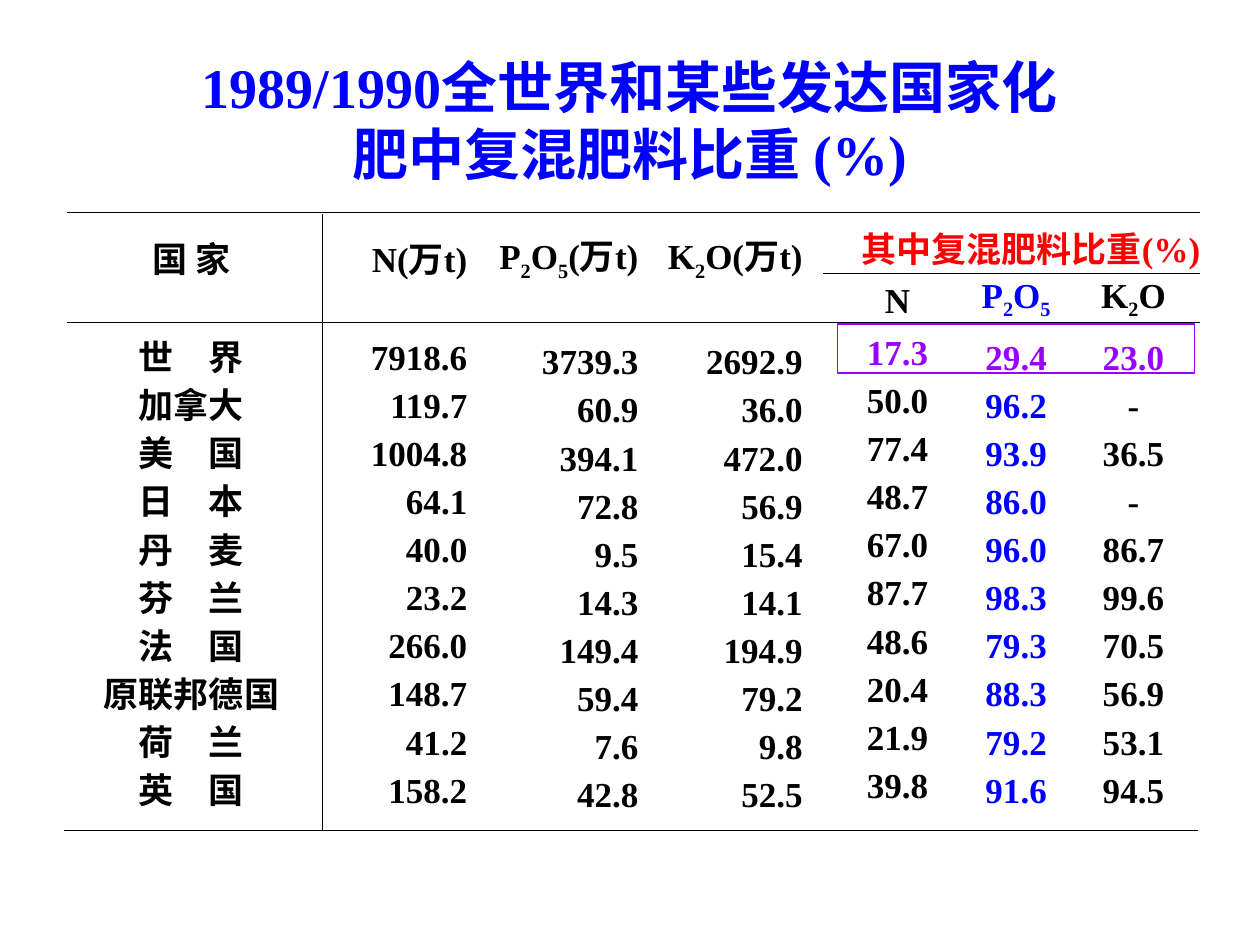
from itertools import pairwise

from pptx import Presentation
from pptx.dml.color import RGBColor
from pptx.enum.shapes import MSO_CONNECTOR, MSO_SHAPE
from pptx.enum.text import MSO_ANCHOR, MSO_AUTO_SIZE, PP_ALIGN
from pptx.oxml.ns import qn
from pptx.util import Cm, Pt
from lxml import etree

BLACK, BLUE, RED, PURPLE = "000000", "0000FF", "FF0000", "9900FF"
FONT = "Times New Roman"
NO_STYLE = "{2D5ABB26-0587-4C30-8999-92F81FD0307C}"


def style_font(font, size, color):
    font.name = FONT
    font.size = Pt(size)
    font.bold = True
    font.color.rgb = RGBColor.from_string(color)


def fill_cell(cell, text, color, alignment, margins, subscripts=False):
    cell.margin_left, cell.margin_top, cell.margin_right, cell.margin_bottom = map(Cm, margins)
    cell.vertical_anchor = MSO_ANCHOR.MIDDLE
    paragraph = cell.text_frame.paragraphs[0]
    paragraph.alignment = alignment
    paragraph.line_spacing = Pt(22)
    style_font(paragraph.font, 20, color)
    for part in (text if subscripts else [text]):
        run = paragraph.add_run()
        run.text = part
        style_font(run.font, 20, color)
        if subscripts and part.isdigit():
            run.font._element.set("baseline", "-25000")


presentation = Presentation()
presentation.slide_width, presentation.slide_height = Cm(25.4), Cm(19.05)
slide = presentation.slides.add_slide(presentation.slide_layouts[5])

title = slide.shapes.title
title.left, title.top, title.width, title.height = Cm(3.3), Cm(0.93), Cm(18.8), Cm(2.97)
title.text_frame.word_wrap = True
title.text_frame.auto_size = MSO_AUTO_SIZE.NONE
title.text_frame.text = "1989/1990全世界和某些发达国家化肥中复混肥料比重 (%)"
title_paragraph = title.text_frame.paragraphs[0]
title_paragraph.alignment = PP_ALIGN.CENTER
style_font(title_paragraph.font, 32, BLUE)

rows = [
    ("世　界", "7918.6", "3739.3", "2692.9", "17.3", "29.4", "23.0"),
    ("加拿大", "119.7", "60.9", "36.0", "50.0", "96.2", "-"),
    ("美　国", "1004.8", "394.1", "472.0", "77.4", "93.9", "36.5"),
    ("日　本", "64.1", "72.8", "56.9", "48.7", "86.0", "-"),
    ("丹　麦", "40.0", "9.5", "15.4", "67.0", "96.0", "86.7"),
    ("芬　兰", "23.2", "14.3", "14.1", "87.7", "98.3", "99.6"),
    ("法　国", "266.0", "149.4", "194.9", "48.6", "79.3", "70.5"),
    ("原联邦德国", "148.7", "59.4", "79.2", "20.4", "88.3", "56.9"),
    ("荷　兰", "41.2", "7.6", "9.8", "21.9", "79.2", "53.1"),
    ("英　国", "158.2", "42.8", "52.5", "39.8", "91.6", "94.5"),
]
column_edges = [1.22, 6.5, 9.55, 13, 16.89, 19.3, 21.67, 24.2]
row_heights = [1.22, 1.23] + [0.97] * len(rows)
center, right = PP_ALIGN.CENTER, PP_ALIGN.RIGHT
alignments = [center, right, right, right, center, center, center]
right_margins = [0, 0.13, 0.13, 0.71, 0, 0, 0.17]
top_margins = [0.12, 0, 0.19, 0.19, 0, 0, 0]
bottom_margins = [0, 0, 0, 0, 0.19, 0, 0]
column_colors = [BLACK] * 5 + [BLUE, BLACK]

table_frame = slide.shapes.add_table(
    len(row_heights), len(alignments), Cm(column_edges[0]), Cm(4.29),
    Cm(column_edges[-1] - column_edges[0]), Cm(sum(row_heights)))
table = table_frame.table
table.first_row = table.horz_banding = False
table._tbl.tblPr.find(qn("a:tableStyleId")).text = NO_STYLE
for column, (start, end) in zip(table.columns, pairwise(column_edges)):
    column.width = Cm(end - start)
for row, height in zip(table.rows, row_heights):
    row.height = Cm(height)
for cell in table.iter_cells():
    cell.fill.background()

for index, heading in enumerate(["国 家", "N(万t)", "P2O5(万t)", "K2O(万t)"]):
    table.cell(0, index).merge(table.cell(1, index))
    fill_cell(table.cell(0, index), heading, BLACK, alignments[index],
              (0, 0, right_margins[index], 0.4), True)
table.cell(0, 4).merge(table.cell(0, 6))
fill_cell(table.cell(0, 4), "其中复混肥料比重(%)", RED, right, (0, 0.43, 0, 0))
for index, heading in enumerate(["N", "P2O5", "K2O"], 4):
    fill_cell(table.cell(1, index), heading, column_colors[index], center,
              (0, 0, right_margins[index], 0.08), True)

for row_index, values in enumerate(rows, 2):
    for index, value in enumerate(values):
        highlighted = row_index == 2 and index >= 4
        fill_cell(table.cell(row_index, index), value,
                  PURPLE if highlighted else column_colors[index], alignments[index],
                  (0, top_margins[index], right_margins[index], bottom_margins[index]))

rules = [
    (1.3, 16.74, 24.16, 16.74),
    (1.35, 6.5, 24.2, 6.5),
    (1.35, 4.29, 24.2, 4.29),
    (6.5, 4.32, 6.5, 16.74),
    (16.59, 5.51, 24.2, 5.51),
]
for ends in rules:
    rule = slide.shapes.add_connector(MSO_CONNECTOR.STRAIGHT, *map(Cm, ends))
    rule.line.color.rgb = RGBColor.from_string(BLACK)
    rule.line.width = Pt(0.75)
    etree.SubElement(rule._element.spPr, qn("a:effectLst"))

world_frame = slide.shapes.add_shape(MSO_SHAPE.RECTANGLE, Cm(16.89), Cm(6.53), Cm(7.19), Cm(0.99))
world_frame.shadow.inherit = False
world_frame.fill.background()
world_frame.line.color.rgb = RGBColor.from_string(PURPLE)
world_frame.line.width = Pt(0.75)

presentation.save("out.pptx")
